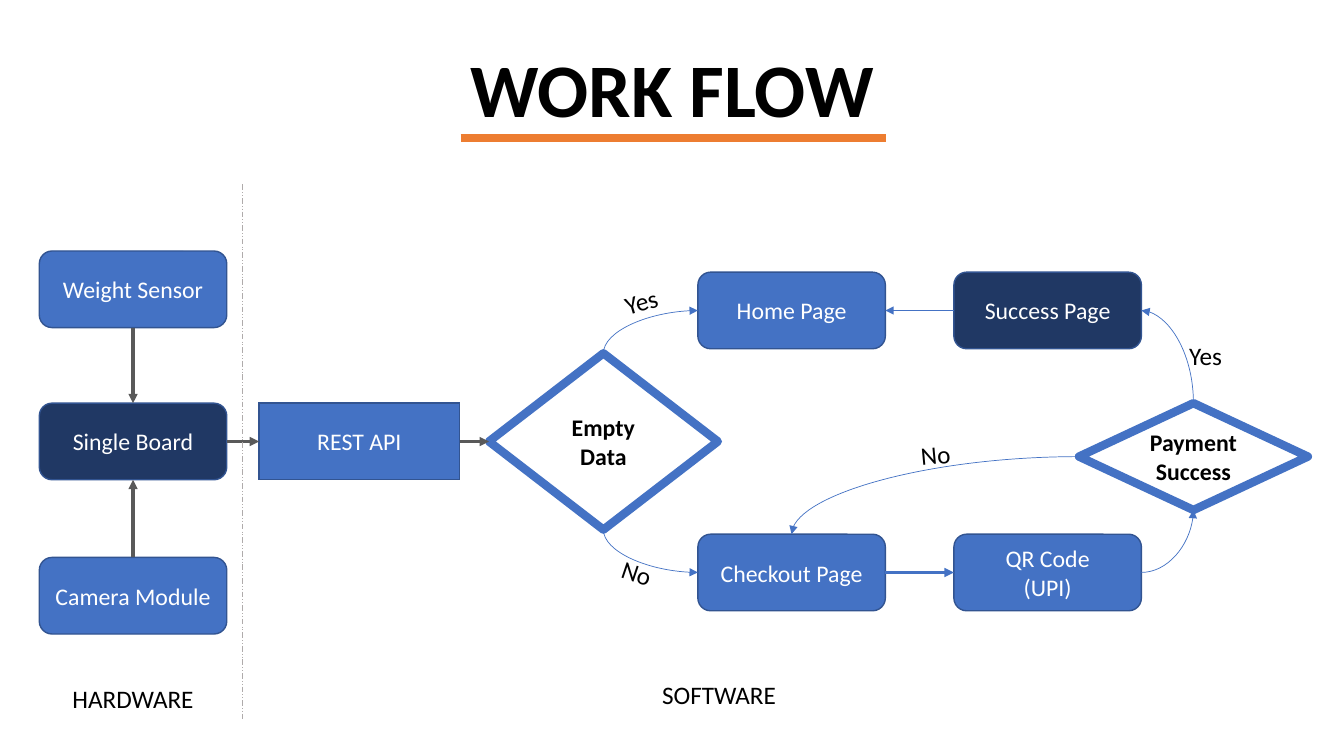
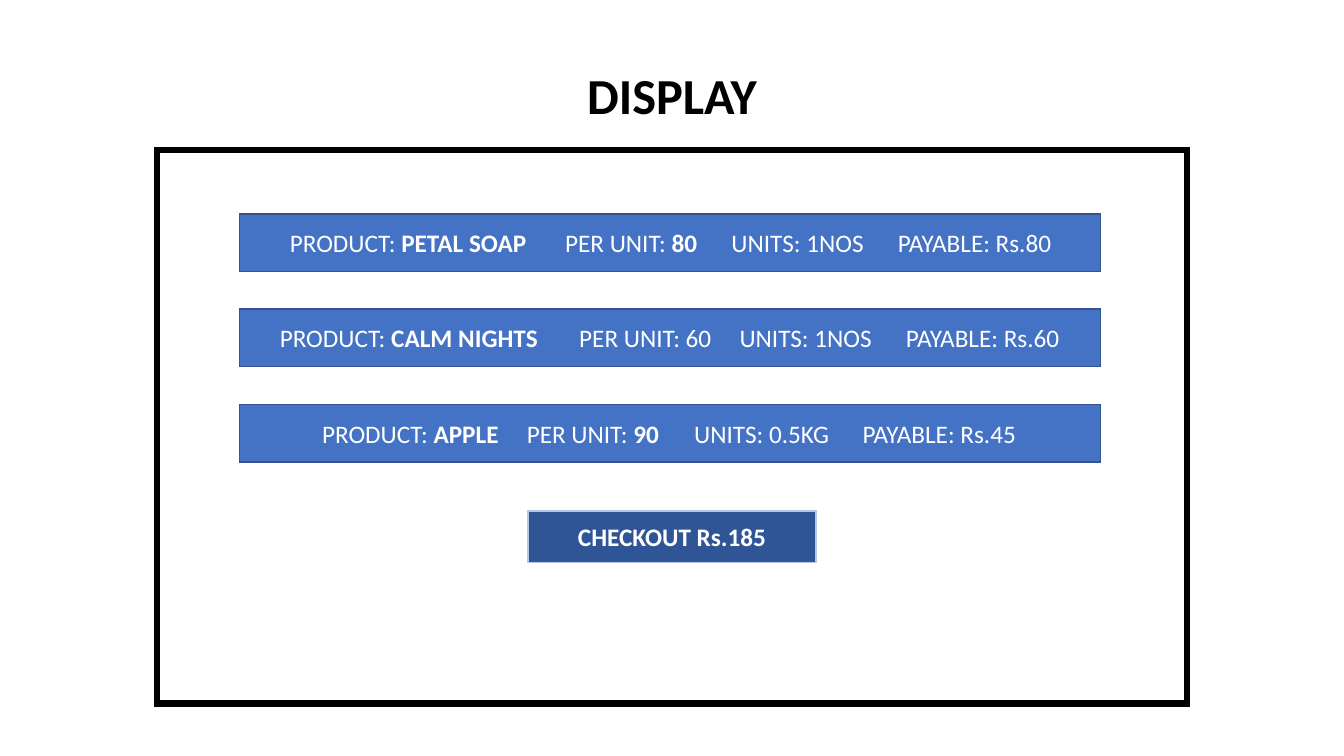
from dataclasses import dataclass

from lxml import etree
from pptx import Presentation
from pptx.dml.color import RGBColor
from pptx.enum.dml import MSO_LINE
from pptx.enum.shapes import MSO_CONNECTOR, MSO_SHAPE
from pptx.enum.text import MSO_ANCHOR, PP_ALIGN
from pptx.oxml.ns import qn
from pptx.util import Inches, Pt

RECT, ROUNDED, DIAMOND = MSO_SHAPE.RECTANGLE, MSO_SHAPE.ROUNDED_RECTANGLE, MSO_SHAPE.DIAMOND
STRAIGHT, CURVE = MSO_CONNECTOR.STRAIGHT, MSO_CONNECTOR.CURVE
CENTER, LEFT, MIDDLE = PP_ALIGN.CENTER, PP_ALIGN.LEFT, MSO_ANCHOR.MIDDLE
LONG_DASH_DOT_DOT = MSO_LINE.DASH_DOT_DOT
TOP_SIDE, LEFT_SIDE, BOTTOM_SIDE, RIGHT_SIDE = range(4)


@dataclass(frozen=True)
class Theme:
    font: str = "Calibri"
    ink: str = "000000"
    paper: str = "FFFFFF"
    accent: str = "ED7D31"
    blue: str = "4472C4"
    blue_edge: str = "325491"
    navy: str = "203864"
    button: str = "2F5597"
    button_edge: str = "B4C7E7"
    wire: str = "595959"
    divider: str = "AFABAB"
    headline: int = 54
    heading: int = 36
    body: int = 18
    node: int = 17
    edge: float = 1
    thin: float = 0.5
    strong: float = 2.25
    frame: float = 4.5
    heavy: float = 6


class Deck:
    """Places elements by their centre, in percent of the slide's width and height."""

    def __init__(self, theme):
        self.theme = theme
        self.prs = Presentation()
        self.prs.slide_width, self.prs.slide_height = Inches(13.33), Inches(7.5)
        self.slide = None

    def new_slide(self):
        self.slide = self.prs.slides.add_slide(self.prs.slide_layouts[6])

    def x(self, share):
        return round(self.prs.slide_width * share / 100)

    def y(self, share):
        return round(self.prs.slide_height * share / 100)

    def area(self, center, size):
        (cx, cy), (w, h) = center, size
        return self.x(cx - w / 2), self.y(cy - h / 2), self.x(w), self.y(h)

    def style(self, paragraph, size, color, bold=None, align=CENTER):
        paragraph.alignment = align
        font = paragraph.font
        font.name, font.size, font.bold = self.theme.font, Pt(size), bold
        font.color.rgb = RGBColor.from_string(color)

    def label(self, text, center, size=None, bold=None, angle=0, box=(12, 5.3), wrap=False):
        holder = self.slide.shapes.add_textbox(*self.area(center, box))
        holder.rotation = angle
        frame = holder.text_frame
        frame.word_wrap, frame.vertical_anchor = wrap, MIDDLE
        frame.text = text
        self.style(frame.paragraphs[0], size or self.theme.body, self.theme.ink, bold)

    def title(self, text, height, size):
        self.label(text, (50, height), size, True, box=(36, size / 4), wrap=True)

    def box(self, center, size, text="", kind=RECT, fill=None, edge=None, weight=None,
            color=None, type_size=None, bold=None):
        theme = self.theme
        shape = self.slide.shapes.add_shape(kind, *self.area(center, size))
        shape.shadow.inherit = False
        if fill:
            shape.fill.solid()
            shape.fill.fore_color.rgb = RGBColor.from_string(fill)
        else:
            shape.fill.background()
        self.stroke(shape.line, edge or theme.blue_edge, weight or theme.edge)
        if kind == RECT:
            etree.SubElement(shape.line._get_or_add_ln(), qn("a:miter"), lim="800000")
        frame = shape.text_frame
        frame.word_wrap, frame.vertical_anchor = True, MIDDLE
        frame.text = text
        for paragraph in frame.paragraphs:
            self.style(paragraph, type_size or theme.node, color or theme.paper, bold)
        return shape

    def node(self, text, center, fill=None, kind=ROUNDED, width=13.95):
        return self.box(center, (width, 10.13), text, kind, fill or self.theme.blue)

    def decision(self, text, center, height):
        theme = self.theme
        return self.box(center, (17.03, height), text, DIAMOND, None, theme.blue,
                        theme.heavy, theme.ink, bold=True)

    def product_row(self, center, fields, start, stops):
        """Draw a bar of (label, value, value is bold) fields set on tab stops, in inches."""
        bar = self.box(center, (64.07, 7.6), fill=self.theme.blue)
        frame = bar.text_frame
        frame.margin_left = Inches(start)
        paragraph = frame.paragraphs[0]
        tabs = etree.SubElement(paragraph._p.get_or_add_pPr(), qn("a:tabLst"))
        for stop in stops:
            etree.SubElement(tabs, qn("a:tab"), pos=str(Inches(stop)), algn="l")
        self.style(paragraph, self.theme.body, self.theme.paper, align=LEFT)
        for index, (name, value, bold) in enumerate(fields):
            paragraph.add_run().text = ("\t" if index else "") + name + ": "
            amount = paragraph.add_run()
            amount.text = value
            if bold:
                amount.font.bold = True

    def stroke(self, line, color, weight):
        line.color.rgb = RGBColor.from_string(color)
        line.width = Pt(weight)

    def line(self, start, end, color, weight, kind=STRAIGHT):
        connector = self.slide.shapes.add_connector(
            kind, self.x(start[0]), self.y(start[1]), self.x(end[0]), self.y(end[1]))
        self.stroke(connector.line, color, weight)
        etree.SubElement(connector._element.spPr, qn("a:effectLst"))
        return connector

    def arrow(self, source, source_side, target, target_side, color=None, weight=None,
              kind=STRAIGHT):
        """Join two shapes; a curve is always drawn from its horizontal end."""
        theme = self.theme
        connector = self.line((0, 0), (0, 0), color or theme.blue, weight or theme.thin, kind)
        begin, end, tip = (source, source_side), (target, target_side), "a:tailEnd"
        if kind == CURVE:
            connector._element.spPr.find(qn("a:prstGeom")).set("prst", "curvedConnector2")
            if source_side in (TOP_SIDE, BOTTOM_SIDE):
                begin, end, tip = end, begin, "a:headEnd"
        connector.begin_connect(*begin)
        connector.end_connect(*end)
        etree.SubElement(connector.line._get_or_add_ln(), qn(tip), type="triangle")


def work_flow(deck):
    theme = deck.theme
    deck.new_slide()
    deck.title("WORK FLOW", 11.53, theme.headline)
    deck.line((34.28, 18.27), (65.94, 18.27), theme.accent, theme.heavy)

    hardware_x, pages_x, payment_x = 9.9, 58.9, 77.95
    main_y, upper_y, lower_y = 58.4, 41.07, 75.73
    sensor = deck.node("Weight Sensor", (hardware_x, 38.27))
    camera = deck.node("Camera Module", (hardware_x, 78.8))
    board = deck.node("Single Board", (hardware_x, main_y), theme.navy)
    api = deck.node("REST API", (26.74, main_y), kind=RECT, width=14.93)
    empty = deck.decision("Empty Data", (44.9, main_y), 23.33)
    home = deck.node("Home Page", (pages_x, upper_y))
    checkout = deck.node("Checkout Page", (pages_x, lower_y))
    code = deck.node("QR Code\n(UPI)", (payment_x, lower_y))
    success = deck.node("Success Page", (payment_x, upper_y), theme.navy)
    paid = deck.decision("Payment\nSuccess", (88.8, 60.4), 14.13)

    for source, source_side, target, target_side in (
            (sensor, BOTTOM_SIDE, board, TOP_SIDE),
            (camera, TOP_SIDE, board, BOTTOM_SIDE),
            (board, RIGHT_SIDE, api, LEFT_SIDE),
            (api, RIGHT_SIDE, empty, LEFT_SIDE)):
        deck.arrow(source, source_side, target, target_side, theme.wire, theme.strong)
    deck.arrow(checkout, RIGHT_SIDE, code, LEFT_SIDE, weight=theme.strong)
    deck.arrow(success, LEFT_SIDE, home, RIGHT_SIDE)
    for source, source_side, target, target_side in (
            (empty, TOP_SIDE, home, LEFT_SIDE),
            (empty, BOTTOM_SIDE, checkout, LEFT_SIDE),
            (code, RIGHT_SIDE, paid, BOTTOM_SIDE),
            (paid, TOP_SIDE, success, RIGHT_SIDE),
            (paid, LEFT_SIDE, checkout, TOP_SIDE)):
        deck.arrow(source, source_side, target, target_side, kind=CURVE)

    divider = deck.line((18, 24.4), (18, 95.2), theme.divider, theme.thin)
    divider.line.dash_style = LONG_DASH_DOT_DOT
    for text, center, angle in (
            ("Yes", (47.7, 39.87), -16.3), ("No", (47.4, 75.73), 18.7),
            ("Yes", (89.7, 47.07), 0), ("No", (69.6, 60.13), -5.2),
            ("HARDWARE", (hardware_x, 92.4), 0), ("SOFTWARE", (53.5, 91.87), 0)):
        deck.label(text, center, angle=angle)


def display(deck):
    theme = deck.theme
    deck.new_slide()
    deck.box((50, 56.47), (76.67, 73.2), fill=theme.paper, edge=theme.ink, weight=theme.frame)
    deck.title("DISPLAY", 12.47, theme.heading)
    deck.box((50, 71), (21.45, 6.8), "CHECKOUT Rs.185", fill=theme.button,
             edge=theme.button_edge, type_size=theme.body, bold=True)

    basket = (
        ("PETAL SOAP", "80", True, "1NOS", "Rs.80", 0.5, (2.73, 4.38, 6.03)),
        ("CALM NIGHTS", "60", False, "1NOS", "Rs.60", 0.4, (2.97, 4.56, 6.21)),
        ("APPLE", "90", True, "0.5KG", "Rs.45", 0.82, (2.03, 3.69, 5.36)),
    )
    for row, (product, price, price_bold, units, payable, start, stops) in enumerate(basket):
        fields = (("PRODUCT", product, True), ("PER UNIT", price, price_bold),
                  ("UNITS", units, False), ("PAYABLE", payable, False))
        deck.product_row((49.85, 32.1 + 12.6 * row), fields, start, stops)


def main():
    deck = Deck(Theme())
    work_flow(deck)
    display(deck)
    deck.prs.save("out.pptx")


if __name__ == "__main__":
    main()
